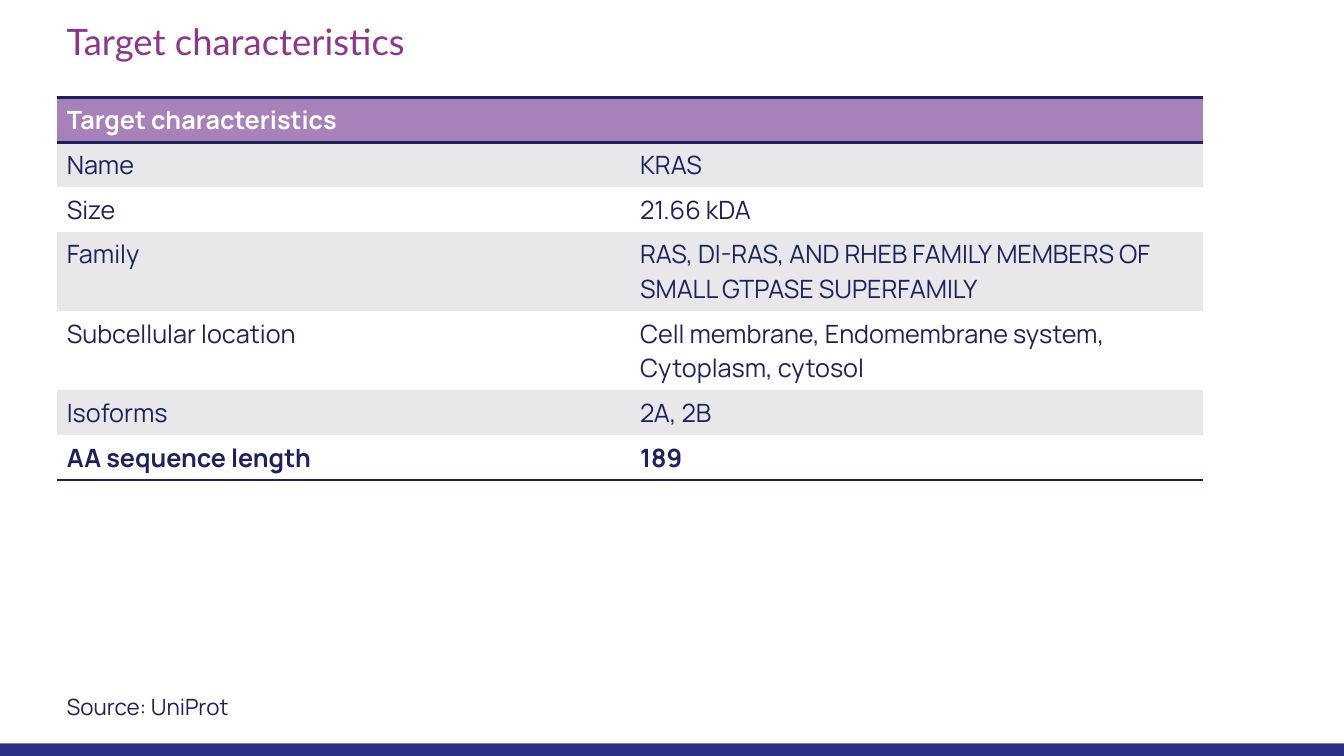
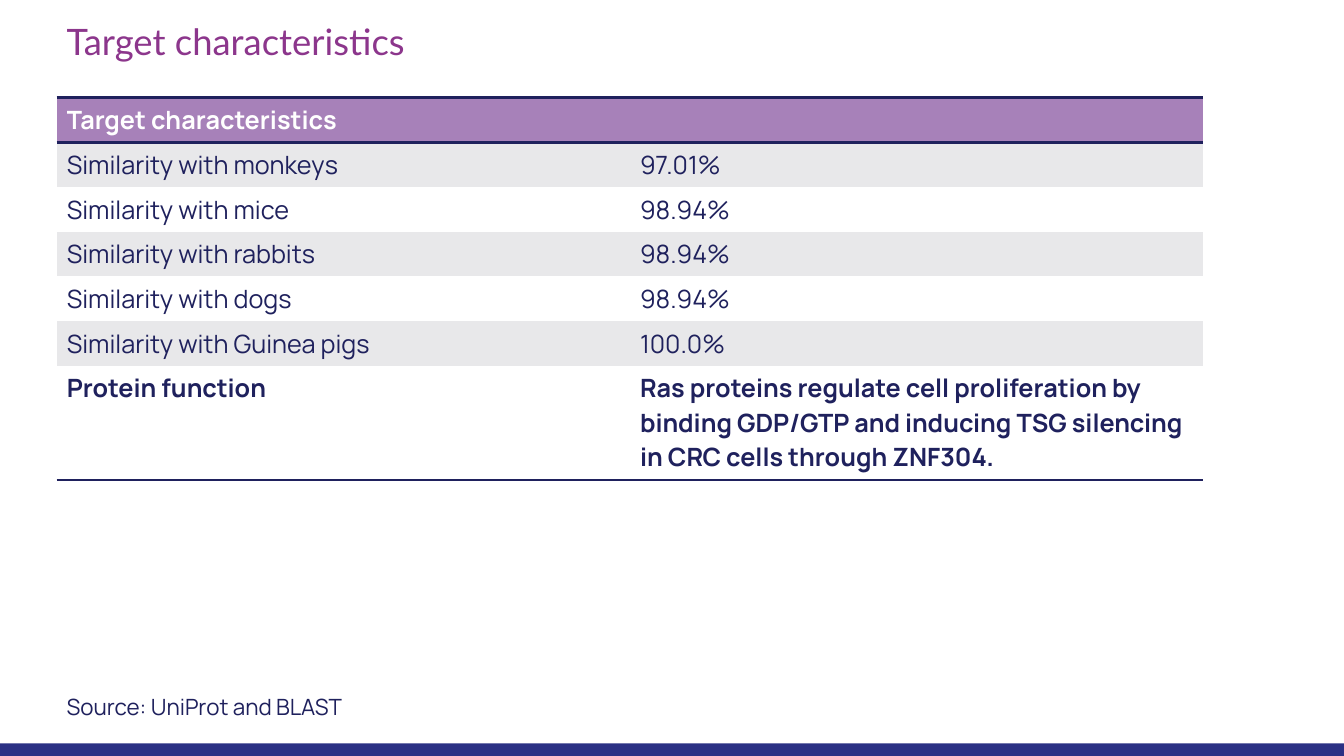
from dataclasses import dataclass

from lxml.etree import SubElement
from pptx import Presentation
from pptx.dml.color import RGBColor as Color
from pptx.enum.shapes import MSO_SHAPE as Shape
from pptx.enum.text import MSO_ANCHOR as Anchor
from pptx.oxml.ns import qn
from pptx.util import Emu, Pt


@dataclass(frozen=True)
class Theme:
    """Holds the colours, fonts and type sizes of the deck."""
    ink: str = "1F215D"
    title: str = "8C368C"
    header: str = "A781B9"
    stripe: str = "E8E8EA"
    white: str = "FFFFFF"
    band: str = "2B3184"
    title_font: str = "Lato"
    body_font: str = "Manrope"
    title_size: int = 26
    table_size: int = 18
    source_size: int = 16
    rule_width: int = 2
    line_spacing: float = 0.9


THEME = Theme()
PX = 9525
WIDTH, HEIGHT = 1280, 720
BAND = (0, 708, WIDTH, 12)
TITLE = (54, 18, 956, 60)
TABLE = (54, 93, 1092, 364)
SOURCE = (54, 658, 668, 34)
CELL_MARGIN = 5
LINE_HEIGHT = 33
PLAIN_TABLE_STYLE = "{2D5ABB26-0587-4C30-8999-92F81FD0307C}"

HEADING = "Target characteristics"
SLIDES = [
    ([("Name", "KRAS", 1),
      ("Size", "21.66 kDA", 1),
      ("Family", "RAS, DI-RAS, AND RHEB FAMILY MEMBERS OF SMALL GTPASE SUPERFAMILY", 2),
      ("Subcellular location", "Cell membrane, Endomembrane system, Cytoplasm, cytosol", 2),
      ("Isoforms", "2A, 2B", 1),
      ("AA sequence length", "189", 1)],
     "Source: UniProt"),
    ([("Similarity with monkeys", "97.01%", 1),
      ("Similarity with mice", "98.94%", 1),
      ("Similarity with rabbits", "98.94%", 1),
      ("Similarity with dogs", "98.94%", 1),
      ("Similarity with Guinea pigs", "100.0%", 1),
      ("Protein function", "Ras proteins regulate cell proliferation by binding GDP/GTP "
                           "and inducing TSG silencing in CRC cells through ZNF304.", 3)],
     "Source: UniProt and BLAST"),
]


def to_emu(box):
    """Turn a box in px into EMU lengths."""
    return [Emu(length * PX) for length in box]


def write(frame, text, *, size, color=THEME.ink, font=THEME.body_font,
          bold=False, spacing=None):
    """Write one formatted paragraph into a text frame."""
    para = frame.paragraphs[0]
    if spacing:
        para.line_spacing = spacing
    span = para.add_run()
    span.text = text
    span.font.name = font
    span.font.size = Pt(size)
    span.font.bold = bold
    span.font.color.rgb = Color.from_string(color)


def add_label(page, box, text, anchor=Anchor.TOP, **style):
    """Place a wrapping text box."""
    frame = page.shapes.add_textbox(*to_emu(box)).text_frame
    frame.word_wrap = True
    frame.vertical_anchor = anchor
    write(frame, text, spacing=THEME.line_spacing, **style)


def add_band(page, box):
    """Place the coloured band at the foot of the page."""
    band = page.shapes.add_shape(Shape.RECTANGLE, *to_emu(box))
    band.shadow.inherit = False
    band.fill.solid()
    band.fill.fore_color.rgb = Color.from_string(THEME.band)
    band.line.fill.background()


def add_rule(cell, side):
    """Draw a border on one side of a cell, before its fill is set."""
    props = cell._tc.get_or_add_tcPr()
    line = SubElement(props, qn(f"a:ln{side}"), w=str(Pt(THEME.rule_width)))
    fill = SubElement(line, qn("a:solidFill"))
    SubElement(fill, qn("a:srgbClr"), val=THEME.ink)


def format_cell(cell, text, *, fill, rules="", **style):
    """Give a cell its margins, borders, colour and text."""
    cell.margin_top = cell.margin_bottom = Emu(CELL_MARGIN * PX)
    for side in rules:
        add_rule(cell, side)
    cell.fill.solid()
    cell.fill.fore_color.rgb = Color.from_string(fill)
    if text:
        write(cell.text_frame, text, size=THEME.table_size, **style)


def row_style(index, last):
    """Return the cell format that a row's position calls for."""
    if index == 0:
        return dict(fill=THEME.header, rules="TB", color=THEME.white, bold=True)
    fill = THEME.stripe if index % 2 else THEME.white
    is_last = index == last
    return dict(fill=fill, rules="B" if is_last else "", bold=is_last)


def add_facts(page, box, facts):
    """Place the striped two-column table, its rows sized by their lines of text."""
    rows = [(HEADING, "", 1), *facts]
    table = page.shapes.add_table(len(rows), 2, *to_emu(box)).table
    table._tbl.tblPr.find(qn("a:tableStyleId")).text = PLAIN_TABLE_STYLE
    spare = box[3] - LINE_HEIGHT * sum(lines for *_, lines in rows)
    padding = Emu(spare * PX // len(rows))
    for index, (*texts, lines) in enumerate(rows):
        table.rows[index].height = Emu(lines * LINE_HEIGHT * PX + padding)
        style = row_style(index, len(rows) - 1)
        for cell, text in zip(table.rows[index].cells, texts):
            format_cell(cell, text, **style)


def add_page(deck, facts, source):
    """Add one slide with title, table, source and band."""
    page = deck.slides.add_slide(deck.slide_layouts[6])
    add_band(page, BAND)
    add_label(page, TITLE, HEADING, size=THEME.title_size,
              color=THEME.title, font=THEME.title_font)
    add_facts(page, TABLE, facts)
    add_label(page, SOURCE, source, Anchor.MIDDLE, size=THEME.source_size)


def main():
    """Build and save the deck."""
    deck = Presentation()
    deck.slide_width, deck.slide_height = to_emu((WIDTH, HEIGHT))
    for facts, source in SLIDES:
        add_page(deck, facts, source)
    deck.save("out.pptx")


if __name__ == "__main__":
    main()
